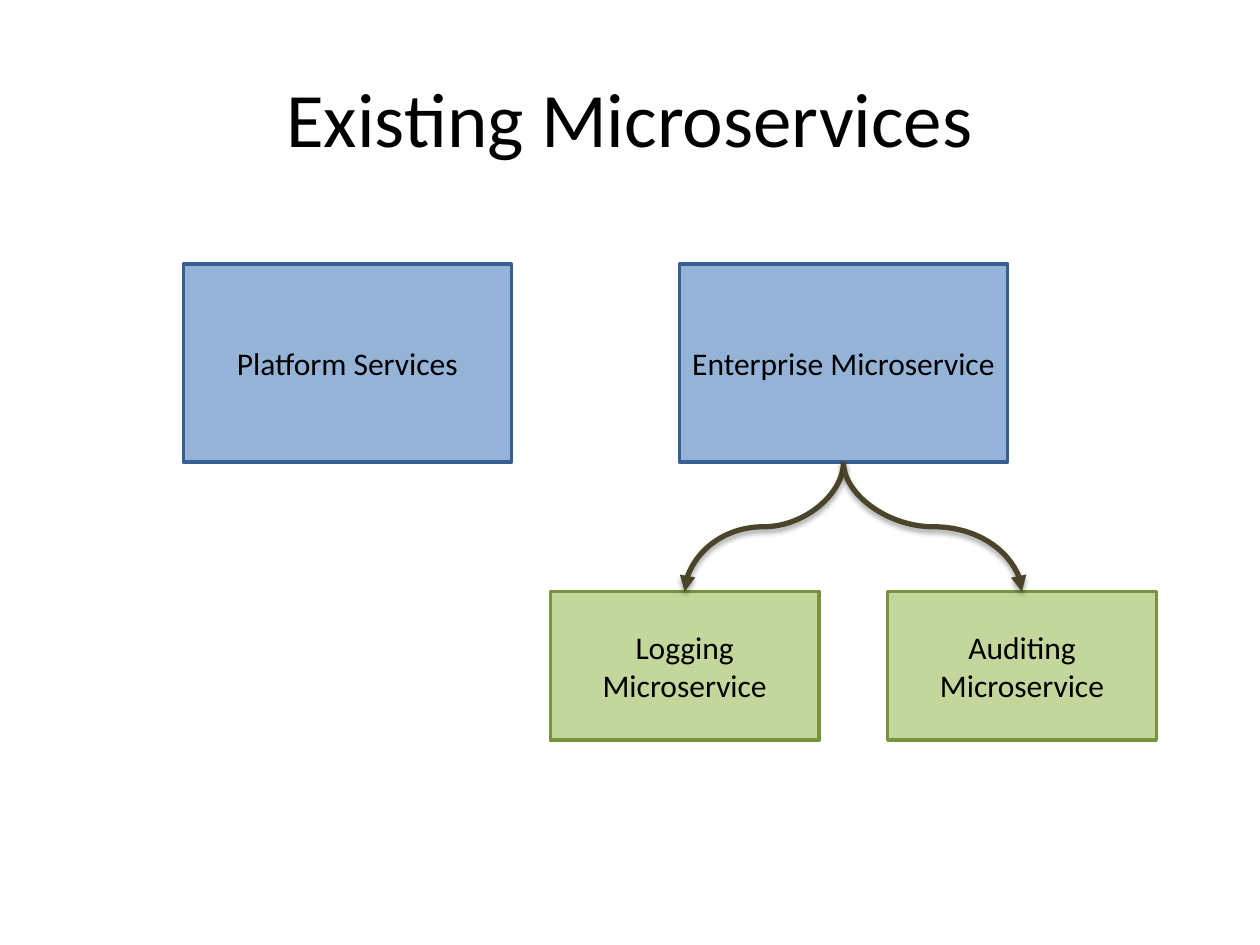
from typing import NamedTuple

from lxml.etree import SubElement as Sub
from pptx import Presentation
from pptx.dml.color import RGBColor
from pptx.enum.shapes import MSO_CONNECTOR as Link, MSO_SHAPE as Form
from pptx.enum.text import MSO_ANCHOR as Anchor, PP_ALIGN as Align
from pptx.oxml.ns import qn
from pptx.util import Pt

BLACK = RGBColor(0x00, 0x00, 0x00)
BLUE = RGBColor(0x95, 0xB3, 0xD7)
NAVY = RGBColor(0x37, 0x60, 0x92)
LIME = RGBColor(0xC3, 0xD6, 0x9B)
GREEN = RGBColor(0x77, 0x93, 0x3C)
BROWN = RGBColor(0x4A, 0x45, 0x2A)


class Kind(NamedTuple):
    width: float
    height: float
    top: float
    fill: RGBColor
    edge: RGBColor


class Box(NamedTuple):
    text: str
    left: float
    kind: Kind


MAIN = Kind(187.5, 113, 151, BLUE, NAVY)
CHILD = Kind(153.5, 85, 338, LIME, GREEN)

PLATFORM = Box("Platform Services", 104.75, MAIN)
PARENT = Box("Enterprise Microservice", 388.25, MAIN)
LEAVES = [
    Box("Logging Microservice", 314.5, CHILD),
    Box("Auditing Microservice", 507.25, CHILD),
]


def write(shape, text: str, size: float) -> None:
    frame = shape.text_frame
    layout = {"word_wrap": True, "vertical_anchor": Anchor.MIDDLE,
              "margin_left": Pt(6), "margin_right": Pt(6)}
    for name, value in layout.items():
        setattr(frame, name, value)
    para = frame.paragraphs[0]
    para.alignment = Align.CENTER
    run = para.add_run()
    run.text = text
    for name, value in {"name": "Calibri", "size": Pt(size)}.items():
        setattr(run.font, name, value)
    run.font.color.rgb = BLACK


def draw_box(slide, box: Box) -> None:
    kind = box.kind
    shape = slide.shapes.add_shape(
        Form.RECTANGLE, Pt(box.left), Pt(kind.top), Pt(kind.width), Pt(kind.height))
    shape.shadow.inherit = False
    shape.fill.solid()
    shape.fill.fore_color.rgb = kind.fill
    shape.line.color.rgb = kind.edge
    shape.line.width = Pt(2)
    write(shape, box.text, 18)


def add_shadow(props) -> None:
    effects = Sub(props, qn("a:effectLst"))
    shadow = Sub(effects, qn("a:outerShdw"), blurRad=str(Pt(3.1)),
                 dist=str(Pt(1.8)), dir="5400000", rotWithShape="0")
    color = Sub(shadow, qn("a:srgbClr"), val="000000")
    Sub(color, qn("a:alpha"), val="35000")


def draw_arrow(slide, start: Box, end: Box) -> None:
    """Curve from bottom centre to top centre, turned to leave vertically."""
    x1, y1 = start.left + start.kind.width / 2, start.kind.top + start.kind.height
    x2, y2 = end.left + end.kind.width / 2, end.kind.top
    mid_x, mid_y = (x1 + x2) / 2, (y1 + y2) / 2
    half_w, half_h = (y2 - y1) / 2, abs(x2 - x1) / 2
    right = x2 > x1
    sign = 1 if right else -1
    arrow = slide.shapes.add_connector(
        Link.CURVE, Pt(mid_x + sign * half_w), Pt(mid_y - half_h),
        Pt(mid_x - sign * half_w), Pt(mid_y + half_h))
    arrow.line.color.rgb = BROWN
    arrow.line.width = Pt(3)
    props = arrow.element.spPr
    turn = 270 if right else 90
    props.find(qn("a:xfrm")).set("rot", str(turn * 60000))
    Sub(props.find(qn("a:ln")), qn("a:tailEnd"), type="triangle")
    add_shadow(props)


def main() -> None:
    deck = Presentation()
    deck.slide_width, deck.slide_height = Pt(720), Pt(540)
    slide = deck.slides.add_slide(deck.slide_layouts[6])
    title = slide.shapes.add_textbox(Pt(36), Pt(21.6), Pt(648), Pt(90))
    write(title, "Existing Microservices", 44)
    for box in [PLATFORM, PARENT, *LEAVES]:
        draw_box(slide, box)
    for leaf in LEAVES:
        draw_arrow(slide, PARENT, leaf)
    deck.save("out.pptx")


if __name__ == "__main__":
    main()
